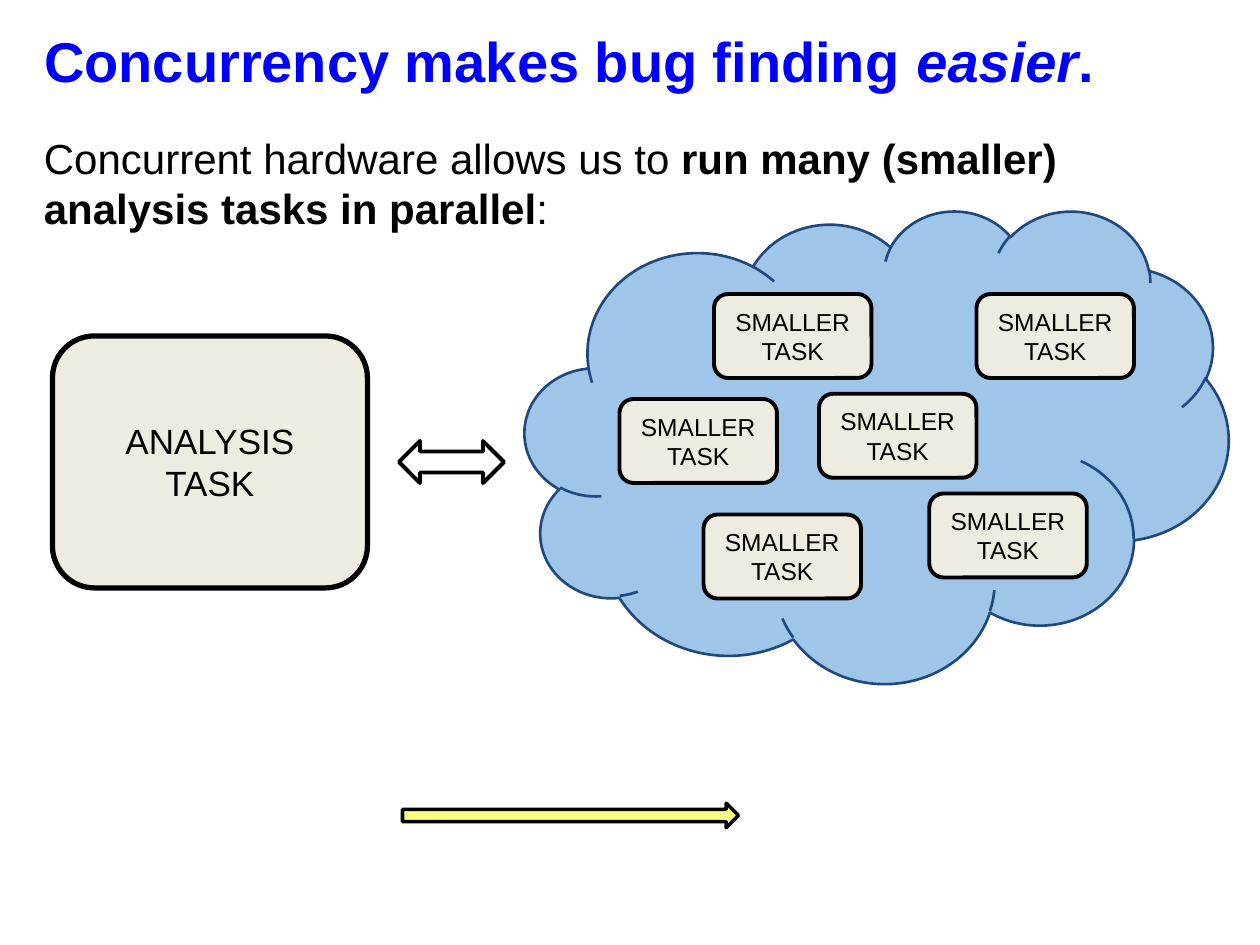
from lxml.etree import SubElement
from pptx import Presentation
from pptx.dml.color import RGBColor
from pptx.enum.shapes import MSO_SHAPE
from pptx.enum.text import MSO_ANCHOR, PP_ALIGN
from pptx.oxml.ns import qn
from pptx.util import Pt

COLORS = {
    "title": "0000FF",
    "ink": "000000",
    "task": "EEECE1",
    "cloud": "9FC5E8",
    "cloud_edge": "1F497D",
    "highlight": "FFFF00",
}


def add_outlined(kind, box, fill, edge, weight):
    shape = slide.shapes.add_shape(kind, *[Pt(v) for v in box])
    shape.shadow.inherit = False
    if fill:
        shape.fill.solid()
        shape.fill.fore_color.rgb = RGBColor.from_string(COLORS[fill])
    else:
        shape.fill.background()
    shape.line.color.rgb = RGBColor.from_string(COLORS[edge])
    shape.line.width = Pt(weight)
    return shape


def write_paragraph(paragraph, runs, size, color, align):
    paragraph.alignment = align
    paragraph.font.name = "Arial"
    paragraph.font.size = Pt(size)
    paragraph.font.color.rgb = RGBColor.from_string(COLORS[color])
    for text, bold, italic in runs:
        run = paragraph.add_run()
        run.text = text
        run.font.bold = bold
        run.font.italic = italic


prs = Presentation()
prs.slide_width, prs.slide_height = Pt(720), Pt(540)
slide = prs.slides.add_slide(prs.slide_layouts[5])

title = slide.shapes.title
title.left, title.top, title.width, title.height = Pt(18), Pt(6), Pt(696), Pt(57)
title.text_frame.vertical_anchor = MSO_ANCHOR.MIDDLE
write_paragraph(
    title.text_frame.paragraphs[0],
    [("Concurrency makes bug finding ", True, False), ("easier", True, True), (".", True, False)],
    32, "title", PP_ALIGN.LEFT,
)

claim = slide.shapes.add_textbox(Pt(18), Pt(72), Pt(690), Pt(426)).text_frame
claim.word_wrap = True
claim.paragraphs[0].space_before = Pt(4.8)
write_paragraph(
    claim.paragraphs[0],
    [
        ("Concurrent hardware allows us to ", False, False),
        ("run many (smaller) analysis tasks in parallel", True, False),
        (":", False, False),
    ],
    24, "ink", PP_ALIGN.LEFT,
)

progress_arrow = add_outlined(MSO_SHAPE.RIGHT_ARROW, (230, 459, 192, 14), "highlight", "ink", 2)
highlight = progress_arrow.fill._xPr.find(qn("a:solidFill"))[0]
SubElement(highlight, qn("a:alpha"), val="50000")

add_outlined(MSO_SHAPE.CLOUD, (300, 120, 402, 270), "cloud", "cloud_edge", 1.5)
add_outlined(MSO_SHAPE.LEFT_RIGHT_ARROW, (228, 252, 60, 24), None, "ink", 2.25)

tasks = [((30, 192, 180, 144), "ANALYSIS", 20, 3)]
for left, top in [(408, 168), (354, 228), (468, 225), (558, 168), (402, 294), (531, 282)]:
    tasks.append(((left, top, 90, 48), "SMALLER", 14, 2.25))

for box, kind, size, weight in tasks:
    task = add_outlined(MSO_SHAPE.ROUNDED_RECTANGLE, box, "task", "ink", weight)
    label = task.text_frame
    label.word_wrap = True
    label.vertical_anchor = MSO_ANCHOR.MIDDLE
    label.margin_left = label.margin_right = label.margin_top = label.margin_bottom = Pt(7.2)
    write_paragraph(label.paragraphs[0], [(kind, False, False)], size, "ink", PP_ALIGN.CENTER)
    write_paragraph(label.add_paragraph(), [("TASK", False, False)], size, "ink", PP_ALIGN.CENTER)

prs.save("out.pptx")
